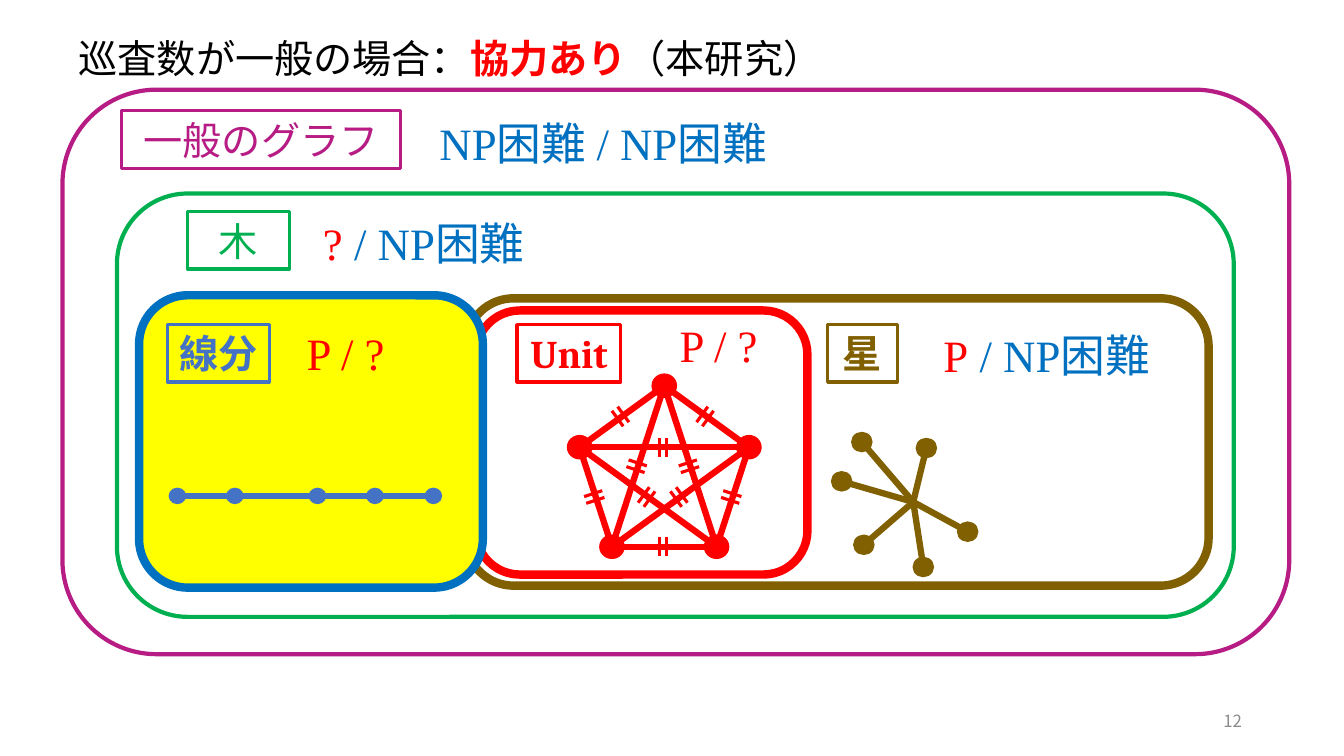
from dataclasses import dataclass
from itertools import combinations
from math import cos, hypot, pi, sin

from lxml.etree import SubElement
from pptx import Presentation
from pptx.dml.color import RGBColor
from pptx.enum.shapes import MSO_CONNECTOR as Link, MSO_SHAPE as Preset
from pptx.enum.text import MSO_ANCHOR as Anchor, MSO_AUTO_SIZE as Fit, PP_ALIGN as Align
from pptx.oxml.ns import qn
from pptx.util import Inches, Pt

COLORS = {
    "black": "000000", "red": "FF0000", "brown": "806000", "blue": "0070C0",
    "steel": "4472C4", "green": "00B050", "magenta": "B61C83",
    "yellow": "FFFF00", "gray": "8C8C8C",
}
COLUMNS, ROWS = 133.33, 75
GOTHIC, SERIF, ROMAN = "Noto Sans CJK JP", "Cambria", "Times New Roman"
LABEL_HEIGHT, VERDICT_HEIGHT = 5.7, 6.4


def cells(*lengths):
    """Turn grid cells of a tenth of an inch into slide lengths."""
    return [Inches(length / 10) for length in lengths]


def rgb(color):
    """Look up a named colour."""
    return RGBColor.from_string(COLORS[color])


@dataclass
class Box:
    """A rectangle in grid cells."""
    left: float
    top: float
    width: float
    height: float

    def inner(self, left, top, width, height):
        """Give a box placed relative to this one."""
        return Box(self.left + left, self.top + top, width, height)

    def point(self, x, y):
        """Give a point placed relative to this box."""
        return self.left + x, self.top + y

    def place(self):
        """Give the slide lengths of the box."""
        return cells(self.left, self.top, self.width, self.height)


def write(frame, pieces, font, size, align=Align.CENTER, bold=None):
    """Write coloured pieces of text as one paragraph."""
    frame.word_wrap = False
    paragraph = frame.paragraphs[0]
    paragraph.alignment = align
    paragraph.font.size = Pt(size)
    paragraph.font.bold = bold
    paragraph.font.name = font
    defaults = paragraph._p.pPr.find(qn("a:defRPr"))
    SubElement(defaults, qn("a:ea")).set("typeface", GOTHIC)
    for words, color in pieces:
        run = paragraph.add_run()
        run.text = words
        run.font.color.rgb = rgb(color)
    return paragraph


def outline(shapes, preset, box, color, weight, fill=None):
    """Draw a preset shape with a line and an optional fill."""
    shape = shapes.add_shape(preset, *box.place())
    shape.shadow.inherit = False
    shape.line.color.rgb = rgb(color)
    shape.line.width = Pt(weight)
    if fill:
        shape.fill.solid()
        shape.fill.fore_color.rgb = rgb(fill)
    else:
        shape.fill.background()
    return shape


def edge(shapes, start, end, color, weight=4.5):
    """Draw a straight line between two points."""
    line = shapes.add_connector(Link.STRAIGHT, *cells(*start, *end))
    line.line.color.rgb = rgb(color)
    line.line.width = Pt(weight)
    SubElement(line._element.spPr, qn("a:effectLst"))


def node(shapes, center, width, height, color):
    """Draw a graph node around its centre."""
    x, y = center
    dot = Box(x - width / 2, y - height / 2, width, height)
    outline(shapes, Preset.OVAL, dot, color, 1, color)


def equal_marks(shapes, start, end, color):
    """Draw two short strokes across the middle of an edge."""
    dx, dy = end[0] - start[0], end[1] - start[1]
    length = hypot(dx, dy)
    ux, uy = dx / length, dy / length
    middle_x, middle_y = (start[0] + end[0]) / 2, (start[1] + end[1]) / 2
    for shift in (-0.35, 0.35):
        x, y = middle_x - 0.15 + shift * ux, middle_y + shift * uy
        edge(shapes, (x + 0.95 * uy, y - 0.95 * ux),
             (x - 0.95 * uy, y + 0.95 * ux), color, 2.25)


def graph_class(slide, box, color, weight, label, verdict, fill=None, border=None,
                font=GOTHIC, bold=None):
    """Draw the frame of a graph class with its name and its complexity."""
    outline(slide.shapes, Preset.ROUNDED_RECTANGLE, box, border or color, weight, fill)
    name, left, top, width = label
    tag = outline(slide.shapes, Preset.RECTANGLE,
                  box.inner(left, top, width, LABEL_HEIGHT), color, 2.25)
    tag.text_frame.vertical_anchor = Anchor.MIDDLE
    write(tag.text_frame, [(name, color)], font, 28, bold=bold)
    pieces, left, top, width = verdict
    area = box.inner(left, top, width, VERDICT_HEIGHT)
    answer = slide.shapes.add_textbox(*area.place())
    write(answer.text_frame, pieces, ROMAN, 32)


def complete_graph(slide, box):
    """Draw five nodes joined pairwise by edges of equal weight."""
    shapes = slide.shapes.add_group_shape().shapes
    radius = 8.83
    corners = [box.point(18.7 + radius * sin(2 * pi * k / 5),
                         16.3 - radius * cos(2 * pi * k / 5)) for k in range(5)]
    for start, end in combinations(corners, 2):
        edge(shapes, start, end, "red")
        equal_marks(shapes, start, end, "red")
    for corner in corners:
        node(shapes, corner, 2.4, 2.3, "red")


def star_graph(slide, box):
    """Draw six leaves joined to one hub."""
    shapes = slide.shapes.add_group_shape().shapes
    hub_x, hub_y = 44.4, 20.2
    leaves = [(-5.1, -5.95), (1.3, -5.35), (5.4, 2.95),
              (1, 6.45), (-4.9, 4.25), (-7.1, -2.05)]
    for dx, dy in leaves:
        leaf = box.point(hub_x + dx, hub_y + dy)
        edge(shapes, box.point(hub_x, hub_y), leaf, "brown")
        node(shapes, leaf, 2, 1.9, "brown")


def line_graph(slide, box):
    """Draw five nodes along one segment."""
    shapes = slide.shapes.add_group_shape().shapes
    stops = [box.point(x, 19.9) for x in (3.8, 9.5, 17.7, 23.4, 29.2)]
    edge(shapes, stops[0], stops[-1], "steel")
    for stop in stops:
        node(shapes, stop, 1.6, 1.5, "steel")


def heading(slide, box):
    """Fill the title placeholder."""
    title = slide.shapes.title
    title.left, title.top, title.width, title.height = box.place()
    title.text_frame.auto_size = Fit.NONE
    title.text_frame.vertical_anchor = Anchor.MIDDLE
    pieces = [("巡査数が一般の場合：", "black"), ("協力あり", "red"), ("（本研究）", "black")]
    paragraph = write(title.text_frame, pieces, GOTHIC, 28, Align.LEFT)
    paragraph.runs[1].font.bold = True


def page_number(slide, box):
    """Write the page number at the lower right."""
    number = slide.shapes.add_textbox(*box.place())
    number.text_frame.vertical_anchor = Anchor.MIDDLE
    write(number.text_frame, [("12", "gray")], GOTHIC, 12, Align.RIGHT)


def main():
    """Build the slide of nested graph classes."""
    deck = Presentation()
    deck.slide_width, deck.slide_height = cells(COLUMNS, ROWS)
    slide = deck.slides.add_slide(deck.slide_layouts[5])
    heading(slide, Box(6.8, 2.9, 76.6, 5.7))

    unit, star = Box(47.2, 30.8, 32.9, 26.2), Box(46.2, 29.6, 73.7, 28.5)
    line, tree = Box(13.8, 29.3, 34.1, 29), Box(11.6, 19.2, 110.8, 42)
    general = Box(6.2, 8.9, 121.7, 56)
    open_case, hard_case = [("P / ?", "red")], (" / NP", "blue")
    hard = ("困難", "blue")

    graph_class(slide, unit, "red", 6, ("Unit", 4.1, 1.4, 10.3),
                (open_case, 18.8, 0.2, 10.6), font=SERIF, bold=True)
    graph_class(slide, star, "brown", 6, ("星", 35.9, 2.6, 6.9),
                ([("P", "red"), hard_case, hard], 44.7, 2.4, 25.9), bold=True)
    graph_class(slide, line, "steel", 6, ("線分", 2.8, 2.9, 10.1),
                (open_case, 15.2, 2.5, 10.6), "yellow", "blue", bold=True)
    graph_class(slide, tree, "green", 3, ("木", 7, 1.8, 10.1),
                ([("?", "red"), hard_case, hard], 17.5, 1.7, 25.9))
    graph_class(slide, general, "magenta", 3, ("一般のグラフ", 5.9, 2.1, 27.6),
                ([("NP", "blue"), ("困難 ", "blue"), ("/ NP", "blue"), hard],
                 33.2, 2.1, 40.9))
    complete_graph(slide, unit)
    star_graph(slide, star)
    line_graph(slide, line)
    page_number(slide, Box(94.2, 69.5, 30, 4))
    deck.save("out.pptx")


if __name__ == "__main__":
    main()
